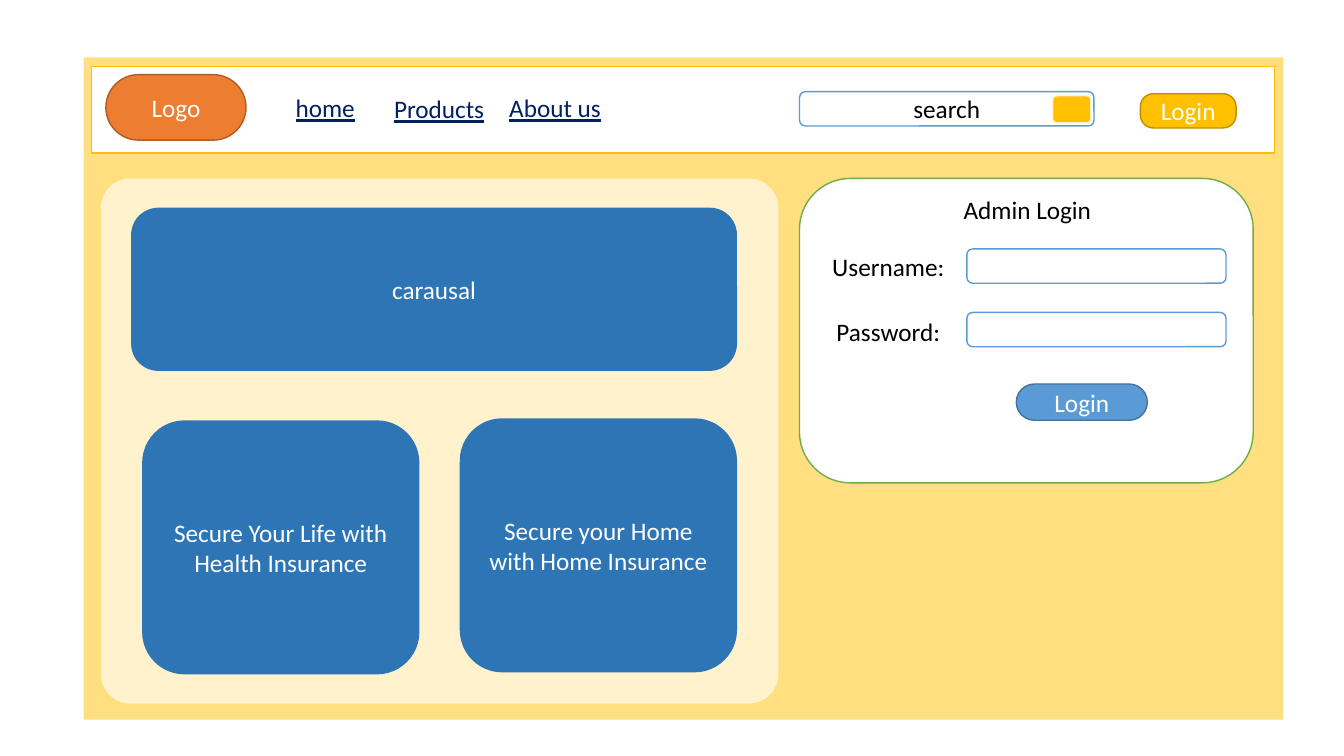
import pptx
import pptx.util
import pptx.dml.color
import pptx.enum.shapes
import pptx.enum.text
import pptx.oxml

PX = 9144  # EMU per px, 100 px to the inch
COLORS = {
    "white": "FFFFFF", "black": "000000", "navy": "002060",
    "gold": "FFC000", "dark gold": "BD8E00", "cream": "FFF2CC",
    "orange": "ED7D31", "dark orange": "AF5C24", "green": "70AD47",
    "blue": "5B9BD5", "dark blue": "43739E", "card blue": "2E75B6",
}

presentation = pptx.Presentation()
presentation.slide_width = 1333 * PX
presentation.slide_height = 750 * PX
slide = presentation.slides.add_slide(presentation.slide_layouts[6])


def rgb(name):
    return pptx.dml.color.RGBColor.from_string(COLORS[name])


def write(shape, text, color, underline=None):
    """Put centred 18 pt text in a shape, one paragraph a line."""
    text_frame = shape.text_frame
    text_frame.word_wrap = True
    text_frame.text = text
    for paragraph in text_frame.paragraphs:
        paragraph.alignment = pptx.enum.text.PP_ALIGN.CENTER
        for run in paragraph.runs:
            run.font.name = "Calibri"
            run.font.size = pptx.util.Pt(18)
            run.font.color.rgb = rgb(color)
            run.font.underline = underline


# left, top, width, height, corner (0 is square), fill, line, text, text colour
ROUND = 0.167
boxes = [
    (83, 57, 1190, 657, 0, "gold", None, "", None),
    (100, 177, 672, 521, 0.056, "cream", None, "", None),
    (91, 66, 1173, 86, 0, "white", "gold", "", None),
    (105, 74, 139, 65, 0.5, "orange", "dark orange", "Logo", "white"),
    (141, 417, 275, 252, ROUND, "card blue", None,
     "Secure Your Life with\nHealth Insurance", "white"),
    (456, 415, 275, 252, ROUND, "card blue", None,
     "Secure your Home with Home Insurance", "white"),
    (130, 206, 601, 162, ROUND, "card blue", None, "carausal", "white"),
    (793, 177, 450, 302, ROUND, "white", "green", "", None),
    (1008, 381, 130, 36, 0.5, "blue", "dark blue", "Login", "white"),
    (793, 91, 292, 34, ROUND, "white", "blue", "search", "black"),
    (1044, 95, 38, 27, ROUND, "gold", "cream", "", None),
    (1131, 93, 95, 34, 0.38, "gold", "dark gold", "Login", "white"),
    (959, 247, 257, 34, ROUND, "white", "blue", "", None),
    (959, 310, 257, 34, ROUND, "white", "blue", "", None),
]
box_shapes = []
for left, top, width, height, corner, fill, line, text, color in boxes:
    kinds = pptx.enum.shapes.MSO_SHAPE
    kind = kinds.ROUNDED_RECTANGLE if corner else kinds.RECTANGLE
    shape = slide.shapes.add_shape(kind, left * PX, top * PX, width * PX, height * PX)
    shape.shadow.inherit = False
    if corner:
        shape.adjustments[0] = corner
    shape.fill.solid()
    shape.fill.fore_color.rgb = rgb(fill)
    if line:
        shape.line.color.rgb = rgb(line)
        shape.line.width = pptx.util.Pt(1)
    else:
        shape.line.fill.background()
    if text:
        shape.text_frame.vertical_anchor = pptx.enum.text.MSO_ANCHOR.MIDDLE
        write(shape, text, color)
    box_shapes.append(shape)

# The page background is half transparent
page = box_shapes[0]
page_color = page.fill._xPr.find(".//" + pptx.oxml.ns.qn("a:srgbClr"))
alpha = pptx.oxml.parse_xml(
    f'<a:alpha {pptx.oxml.ns.nsdecls("a")} val="50000"/>')
page_color.append(alpha)

# left, top, width, text, colour, underline
labels = [
    (278, 87, 89, "home", "navy", True),
    (378, 88, 115, "Products", "navy", True),
    (487, 87, 127, "About us", "navy", True),
    (863, 188, 312, "Admin Login", "black", None),
    (725, 244, 312, "Username:", "black", None),
    (725, 309, 312, "Password:", "black", None),
]
for left, top, width, text, color, underline in labels:
    label = slide.shapes.add_textbox(left * PX, top * PX, width * PX, 40 * PX)
    write(label, text, color, underline)

presentation.save("out.pptx")
